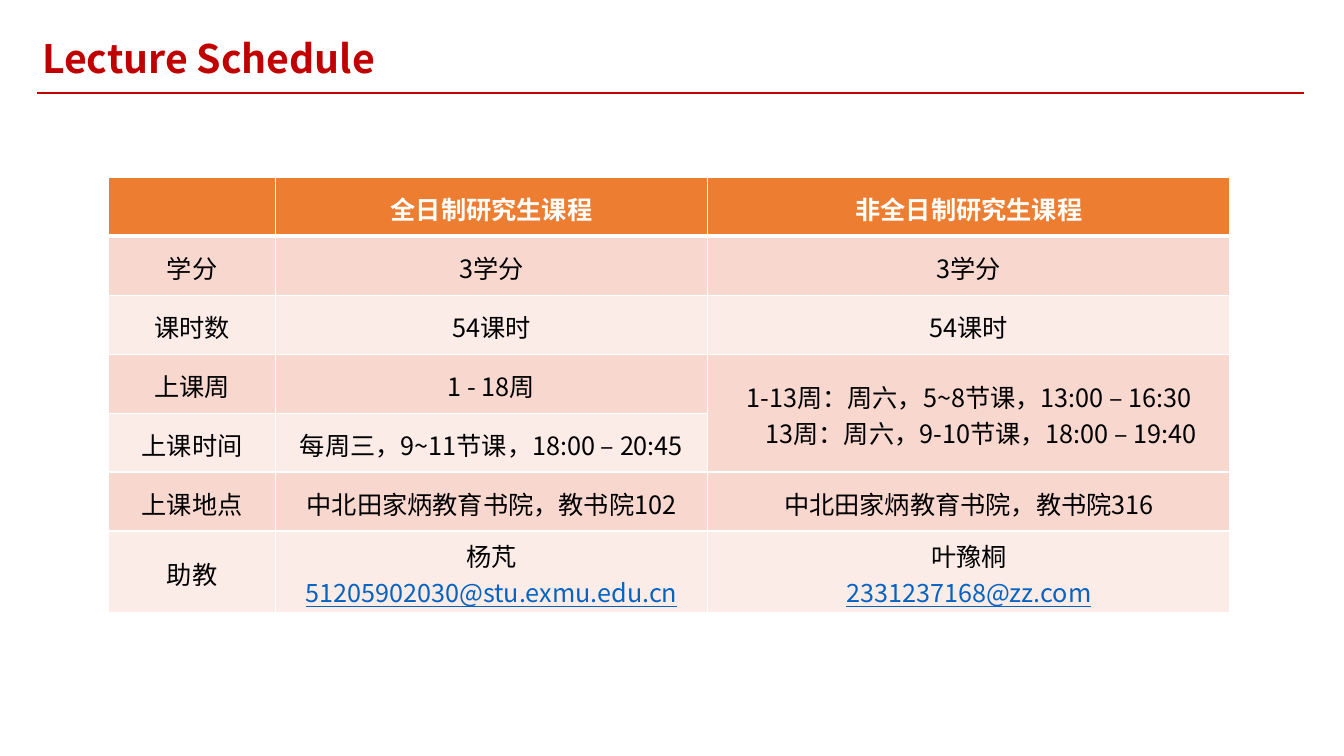
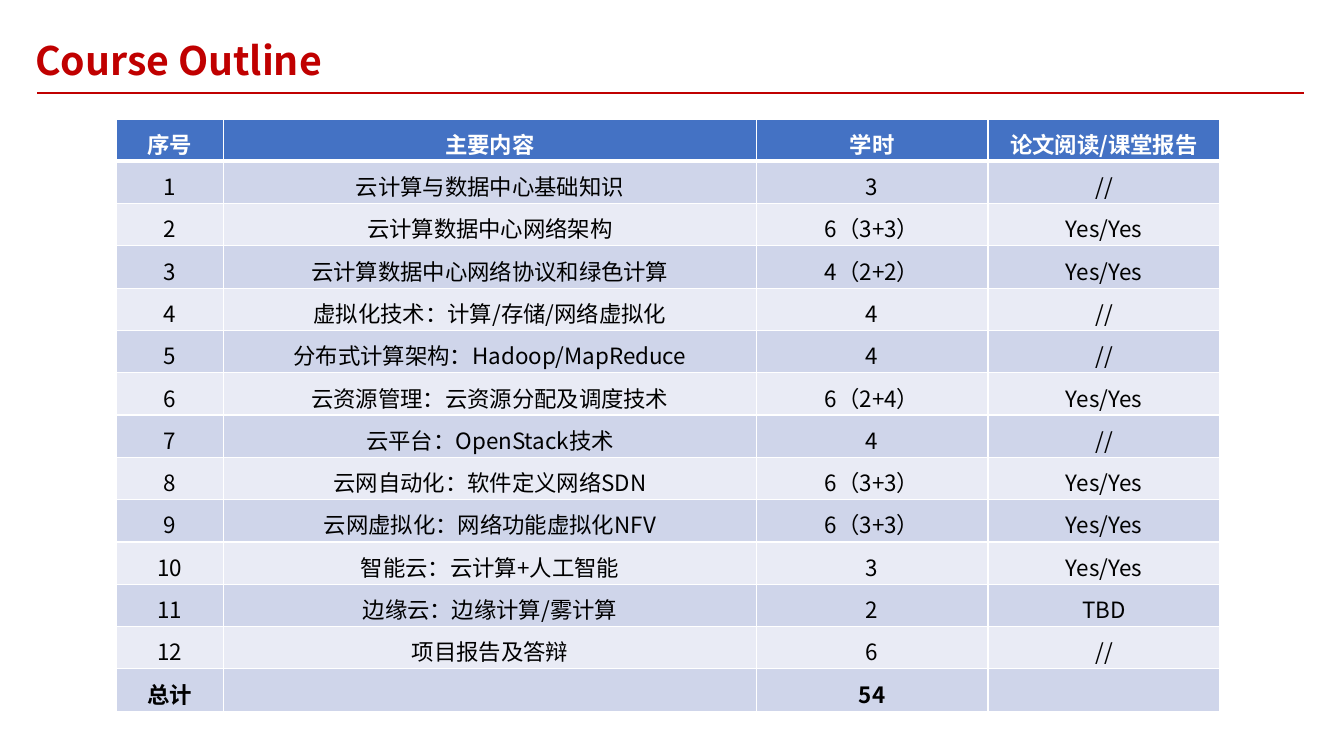
"""Build the lecture schedule and course outline slides."""
from dataclasses import dataclass

from lxml.etree import SubElement
from pptx import Presentation
from pptx.dml.color import RGBColor
from pptx.enum.shapes import MSO_CONNECTOR
from pptx.enum.text import MSO_ANCHOR, PP_ALIGN
from pptx.oxml.ns import qn
from pptx.util import Inches, Pt

FONT = "Noto Sans CJK SC"
RED, WHITE, BLACK, LINK = "C00000", "FFFFFF", "000000", "0563C1"
INDENT_MARK = "\t"


@dataclass(frozen=True)
class TableStyle:
    header: str
    bands: tuple[str, str]
    size: int
    anchor: MSO_ANCHOR
    line_spacing: float
    margin_top: float
    margin_bottom: float


@dataclass(frozen=True)
class TableSlide:
    title: str
    title_left: float
    title_top: float
    left: float
    top: float
    columns: tuple[float, ...]
    row_heights: tuple[float, ...]
    rows: tuple[tuple[str, ...], ...]
    style: TableStyle
    bold_rows: tuple[int, ...] = (0,)
    merge: tuple[int, int, int, int] | None = None


SCHEDULE_STYLE = TableStyle("ED7D31", ("F8D7CE", "FCECE8"), 18, MSO_ANCHOR.MIDDLE, 1.0, 0.05, 0.02)
OUTLINE_STYLE = TableStyle("4472C4", ("CFD5EA", "E9EBF5"), 16, MSO_ANCHOR.TOP, 1.2, 0.02, 0)

SCHEDULE_ROWS = (
    ("", "全日制研究生课程", "非全日制研究生课程"),
    ("学分", "3学分", "3学分"),
    ("课时数", "54课时", "54课时"),
    ("上课周", "1 - 18周",
     "1-13周：周六，5~8节课，13:00 – 16:30\n" + INDENT_MARK + "13周：周六，9-10节课，18:00 – 19:40"),
    ("上课时间", "每周三，9~11节课，18:00 – 20:45", ""),
    ("上课地点", "中北田家炳教育书院，教书院102", "中北田家炳教育书院，教书院316"),
    ("助教", "杨芃\n51205902030@stu.exmu.edu.cn", "叶豫桐\n2331237168@zz.com"),
)

TOPICS = (
    ("云计算与数据中心基础知识", "3", "//"),
    ("云计算数据中心网络架构", "6（3+3）", "Yes/Yes"),
    ("云计算数据中心网络协议和绿色计算", "4（2+2）", "Yes/Yes"),
    ("虚拟化技术：计算/存储/网络虚拟化", "4", "//"),
    ("分布式计算架构：Hadoop/MapReduce", "4", "//"),
    ("云资源管理：云资源分配及调度技术", "6（2+4）", "Yes/Yes"),
    ("云平台：OpenStack技术", "4", "//"),
    ("云网自动化：软件定义网络SDN", "6（3+3）", "Yes/Yes"),
    ("云网虚拟化：网络功能虚拟化NFV", "6（3+3）", "Yes/Yes"),
    ("智能云：云计算+人工智能", "3", "Yes/Yes"),
    ("边缘云：边缘计算/雾计算", "2", "TBD"),
    ("项目报告及答辩", "6", "//"),
)
OUTLINE_ROWS = (
    ("序号", "主要内容", "学时", "论文阅读/课堂报告"),
    *((str(number), *topic) for number, topic in enumerate(TOPICS, 1)),
    ("总计", "", "54", ""),
)

SLIDES = (
    TableSlide("Lecture Schedule", 0.32, 0.29, 1.08, 1.76, (1.65, 4.29, 5.18),
               (0.585,) * 6 + (0.81,), SCHEDULE_ROWS, SCHEDULE_STYLE, merge=(3, 2, 4, 2)),
    TableSlide("Course Outline", 0.25, 0.31, 1.15, 1.18, (1.07, 5.28, 2.3, 2.3),
               (0.42,) * len(OUTLINE_ROWS), OUTLINE_ROWS, OUTLINE_STYLE,
               bold_rows=(0, len(OUTLINE_ROWS) - 1)),
)


def rgb(color: str) -> RGBColor:
    """Turn a hex string into a colour."""
    return RGBColor.from_string(color)


def format_run(run, size: int, color: str, bold: bool) -> None:
    """Give a run the shared typeface and its own size, colour and weight."""
    run.font.name = FONT
    run.font.size = Pt(size)
    run.font.bold = bold
    run.font.color.rgb = rgb(color)
    SubElement(run.font._element, qn("a:ea"), typeface=FONT)


def add_heading(slide, spec: TableSlide) -> None:
    """Draw the red rule and the slide title."""
    rule = slide.shapes.add_connector(
        MSO_CONNECTOR.STRAIGHT, Inches(0.37), Inches(0.92), Inches(12.93), Inches(0.92))
    rule.line.color.rgb = rgb(RED)
    rule.line.width = Pt(1.5)
    SubElement(rule._element.spPr, qn("a:effectLst"))

    title = slide.shapes.add_textbox(
        Inches(spec.title_left), Inches(spec.title_top), Inches(12.82), Inches(0.57))
    title.fill.solid()
    title.fill.fore_color.rgb = rgb(WHITE)
    frame = title.text_frame
    frame.word_wrap = True
    frame.margin_top = frame.margin_bottom = 0
    frame.vertical_anchor = MSO_ANCHOR.MIDDLE
    frame.text = spec.title
    format_run(frame.paragraphs[0].runs[0], 28, RED, True)


def add_borders(cell, row: int) -> None:
    """Outline a cell in white, with a thicker line below the header."""
    widths = {"lnL": 1, "lnR": 1, "lnT": 3 if row == 1 else 1, "lnB": 3 if row == 0 else 1}
    properties = cell._tc.get_or_add_tcPr()
    for side, width in widths.items():
        border = SubElement(properties, qn(f"a:{side}"), w=str(Pt(width)))
        SubElement(SubElement(border, qn("a:solidFill")), qn("a:srgbClr"), val=WHITE)


def fill_cell(cell, text: str, row: int, spec: TableSlide) -> None:
    """Write and format one table cell."""
    style = spec.style
    add_borders(cell, row)
    cell.fill.solid()
    cell.fill.fore_color.rgb = rgb(style.bands[(row - 1) % 2] if row else style.header)
    cell.vertical_anchor = style.anchor
    cell.margin_top = Inches(style.margin_top)
    cell.margin_bottom = Inches(style.margin_bottom)
    cell.text_frame.text = text.replace(INDENT_MARK, "")
    for paragraph, line in zip(cell.text_frame.paragraphs, text.split("\n")):
        paragraph.alignment = PP_ALIGN.CENTER
        paragraph.line_spacing = style.line_spacing
        if line.startswith(INDENT_MARK):
            paragraph._p.get_or_add_pPr().set("marL", str(Inches(0.24)))
        is_email = "@" in line
        color = LINK if is_email else BLACK if row else WHITE
        for run in paragraph.runs:
            format_run(run, style.size, color, row in spec.bold_rows)
            run.font.underline = is_email


def add_course_table(slide, spec: TableSlide) -> None:
    """Draw the table of a slide."""
    table = slide.shapes.add_table(
        len(spec.rows), len(spec.columns), Inches(spec.left), Inches(spec.top),
        Inches(sum(spec.columns)), Inches(sum(spec.row_heights))).table
    table.horz_banding = False
    for column, width in zip(table.columns, spec.columns):
        column.width = Inches(width)
    for row, height in zip(table.rows, spec.row_heights):
        row.height = Inches(height)
    for row, texts in enumerate(spec.rows):
        for column, text in enumerate(texts):
            fill_cell(table.cell(row, column), text, row, spec)
    if spec.merge:
        top, left, bottom, right = spec.merge
        table.cell(top, left).merge(table.cell(bottom, right))


def main() -> None:
    """Build and save the presentation."""
    deck = Presentation()
    deck.slide_width, deck.slide_height = Inches(13.33), Inches(7.5)
    for spec in SLIDES:
        slide = deck.slides.add_slide(deck.slide_layouts[6])
        add_heading(slide, spec)
        add_course_table(slide, spec)
    deck.save("out.pptx")


if __name__ == "__main__":
    main()
